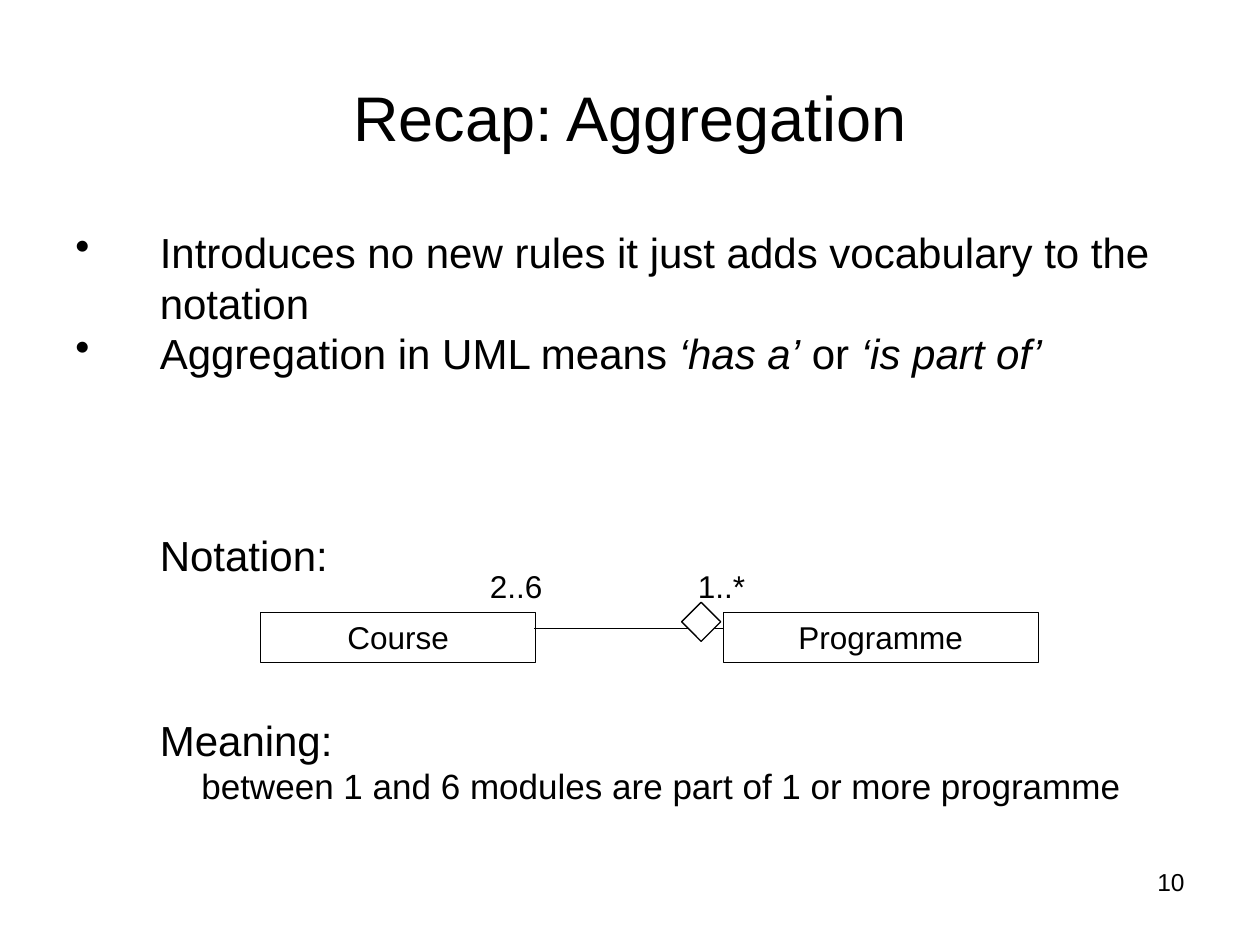
import pptx
import pptx.util
import pptx.dml.color
import pptx.enum.shapes
import pptx.enum.text
import lxml.etree
from pptx.util import Inches, Pt

BLACK = pptx.dml.color.RGBColor(0x00, 0x00, 0x00)
WHITE = pptx.dml.color.RGBColor(0xFF, 0xFF, 0xFF)
ALIGN = pptx.enum.text.PP_ALIGN
ANCHOR = pptx.enum.text.MSO_ANCHOR
SHAPE = pptx.enum.shapes.MSO_SHAPE
DRAWING = "{http://schemas.openxmlformats.org/drawingml/2006/main}"

presentation = pptx.Presentation()
presentation.slide_width = Inches(10)
presentation.slide_height = Inches(7.5)
slide = presentation.slides.add_slide(presentation.slide_layouts[6])


def write_text(shape, text, size, alignment, anchor=ANCHOR.TOP):
    frame = shape.text_frame
    frame.word_wrap = True
    frame.vertical_anchor = anchor
    frame.text = text
    paragraph = frame.paragraphs[0]
    paragraph.alignment = alignment
    font = paragraph.runs[0].font
    font.name, font.size, font.color.rgb = "Arial", Pt(size), BLACK


def add_outlined(kind, left, top, width, height):
    shape = slide.shapes.add_shape(
        kind, Inches(left), Inches(top), Inches(width), Inches(height))
    shape.shadow.inherit = False
    shape.fill.solid()
    shape.fill.fore_color.rgb = WHITE
    shape.line.color.rgb = BLACK
    shape.line.width = Pt(0.75)
    return shape


# Page number, title and multiplicity labels
for text, left, top, width, height, size, alignment, anchor in [
    ("10", 7.17, 6.83, 2.33, 0.52, 14, ALIGN.RIGHT, ANCHOR.TOP),
    ("Recap: Aggregation", 0.5, 0.3, 9, 1.25, 36, ALIGN.CENTER, ANCHOR.MIDDLE),
    ("2..6", 3.79, 4.45, 1.58, 0.4, 18, ALIGN.LEFT, ANCHOR.TOP),
    ("1..*", 5.44, 4.45, 1.58, 0.4, 18, ALIGN.LEFT, ANCHOR.TOP),
]:
    text_box = slide.shapes.add_textbox(
        Inches(left), Inches(top), Inches(width), Inches(height))
    write_text(text_box, text, size, alignment, anchor)

# Body: runs with italic flag, bullet, left margin, size, space before
body_paragraphs = [
    ([("Introduces no new rules it just adds vocabulary to the notation", False)],
     True, 0.67, 24, 0),
    ([("Aggregation in UML means ", False), ("‘has a’", True),
      (" or ", False), ("‘is part of’", True)], True, 0.67, 24, 0),
    ([("Notation:", False)], False, 0.67, 24, 86.4),
    ([("Meaning:", False)], False, 0.67, 24, 77),
    ([("between 1 and 6 modules are part of 1 or more programme", False)],
     False, 1, 20, 0),
]
body = slide.shapes.add_textbox(Inches(0.5), Inches(1.75), Inches(8.83), Inches(5.31))
body.text_frame.word_wrap = True
for index, (runs, bulleted, margin, size, space_before) in enumerate(body_paragraphs):
    if index == 0:
        paragraph = body.text_frame.paragraphs[0]
    else:
        paragraph = body.text_frame.add_paragraph()
    properties = paragraph._p.get_or_add_pPr()
    properties.set("marL", str(Inches(margin)))
    properties.set("indent", str(-Inches(margin) if bulleted else 0))
    if bulleted:
        bullet = lxml.etree.SubElement(properties, DRAWING + "buChar")
        bullet.set("char", "•")
    paragraph.line_spacing = Pt(size * 1.2)
    if space_before:
        paragraph.space_before = Pt(space_before)
    for text, italic in runs:
        run = paragraph.add_run()
        run.text = text
        run.font.name, run.font.size = "Arial", Pt(size)
        run.font.italic = italic
        run.font.color.rgb = BLACK

# Class boxes
for name, left, width in [("Programme", 5.74, 2.5), ("Course", 2.07, 2.18)]:
    class_box = add_outlined(SHAPE.RECTANGLE, left, 4.86, width, 0.4)
    write_text(class_box, name, 18, ALIGN.CENTER)

# Association line with the aggregation diamond on top
association = slide.shapes.add_connector(
    pptx.enum.shapes.MSO_CONNECTOR.STRAIGHT,
    Inches(4.24), Inches(4.99), Inches(5.74), Inches(4.99))
association.line.color.rgb = BLACK
association.line.width = Pt(0.75)
lxml.etree.SubElement(association._element.spPr, DRAWING + "effectLst")
add_outlined(SHAPE.DIAMOND, 5.41, 4.78, 0.31, 0.31)

presentation.save("out.pptx")
